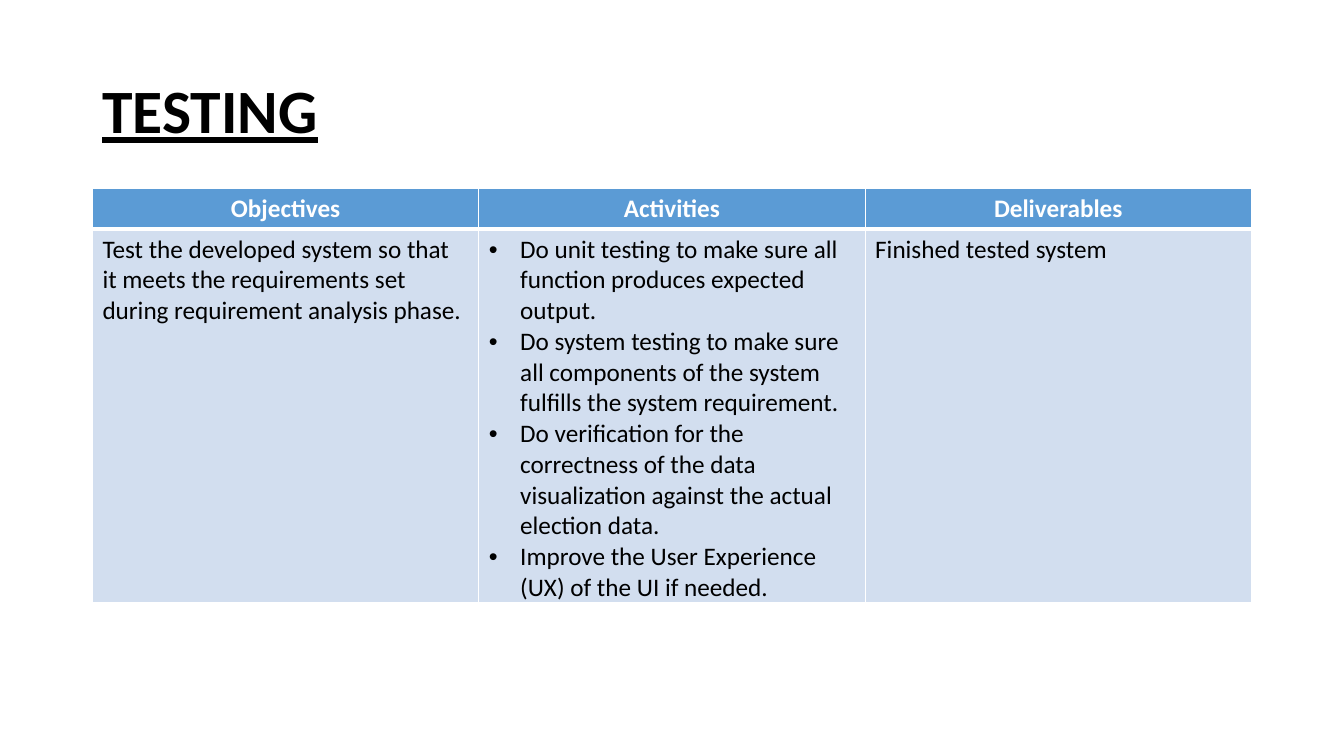
from lxml.etree import SubElement
from pptx import Presentation
from pptx.dml.color import RGBColor
from pptx.enum.text import MSO_ANCHOR, PP_ALIGN
from pptx.oxml.ns import qn
from pptx.util import Cm, Pt

# Content
TITLE = "TESTING"
COLUMNS = [
    ("Objectives", False, [
        "Test the developed system so that it meets the requirements set "
        "during requirement analysis phase."]),
    ("Activities", True, [
        "Do unit testing to make sure all function produces expected output.",
        "Do system testing to make sure all components of the system "
        "fulfills the system requirement.",
        "Do verification for the correctness of the data visualization "
        "against the actual election data.",
        "Improve the User Experience (UX) of the UI if needed."]),
    ("Deliverables", False, ["Finished tested system"]),
]

# Style and layout
FONT = "Calibri"
BLACK, WHITE, HEADER_BLUE, BODY_BLUE = "000000", "FFFFFF", "5B9BD5", "D2DEEF"
LEFT, WIDTH = Cm(2.33), Cm(29.21)
TITLE_TOP, TITLE_HEIGHT = Cm(1.02), Cm(3.68)
TABLE_TOP, ROW_HEIGHTS = Cm(4.74), (Cm(1.03), Cm(9.41))
BULLET_INDENT = Cm(0.79)
THIN, THICK = Pt(1), Pt(3)


def color(value):
    return RGBColor.from_string(value)


def add_span(para, text, size, ink, bold=False, underline=False):
    span = para.add_run()
    span.text = text
    font = span.font
    font.name, font.size, font.bold, font.underline = FONT, Pt(size), bold, underline
    font.color.rgb = color(ink)


def add_bullet(para):
    props = para._p.get_or_add_pPr()
    props.set("marL", str(BULLET_INDENT))
    props.set("indent", str(-BULLET_INDENT))
    SubElement(props, qn("a:buFont"), typeface="Arial")
    SubElement(props, qn("a:buChar"), char="•")


def style_cell(cell, fill, top, bottom):
    props = cell._tc.get_or_add_tcPr()
    for side, width in (("L", THIN), ("R", THIN), ("T", top), ("B", bottom)):
        line = SubElement(props, qn(f"a:ln{side}"), w=str(width))
        SubElement(SubElement(line, qn("a:solidFill")), qn("a:srgbClr"), val=WHITE)
    cell.fill.solid()
    cell.fill.fore_color.rgb = color(fill)


def fill_cell(cell, texts, ink, bold=False, align=PP_ALIGN.LEFT, bulleted=False):
    frame = cell.text_frame
    for index, text in enumerate(texts):
        para = frame.add_paragraph() if index else frame.paragraphs[0]
        para.alignment = align
        if bulleted:
            add_bullet(para)
        add_span(para, text, 18, ink, bold)


deck = Presentation()
deck.slide_width, deck.slide_height = Cm(33.87), Cm(19.05)
page = deck.slides.add_slide(deck.slide_layouts[6])

# Title
box = page.shapes.add_textbox(LEFT, TITLE_TOP, WIDTH, TITLE_HEIGHT)
box.text_frame.word_wrap = True
box.text_frame.vertical_anchor = MSO_ANCHOR.MIDDLE
title_para = box.text_frame.paragraphs[0]
title_para.line_spacing = 0.9
add_span(title_para, TITLE, 44, BLACK, bold=True, underline=True)

# Table
table = page.shapes.add_table(len(ROW_HEIGHTS), len(COLUMNS), LEFT, TABLE_TOP,
                              WIDTH, sum(ROW_HEIGHTS)).table
for row, height in zip(table.rows, ROW_HEIGHTS):
    row.height = height
for index, (heading, bulleted, texts) in enumerate(COLUMNS):
    header, body = table.cell(0, index), table.cell(1, index)
    style_cell(header, HEADER_BLUE, THIN, THICK)
    fill_cell(header, [heading], WHITE, bold=True, align=PP_ALIGN.CENTER)
    style_cell(body, BODY_BLUE, THICK, THIN)
    fill_cell(body, texts, BLACK, bulleted=bulleted)

deck.save("out.pptx")
